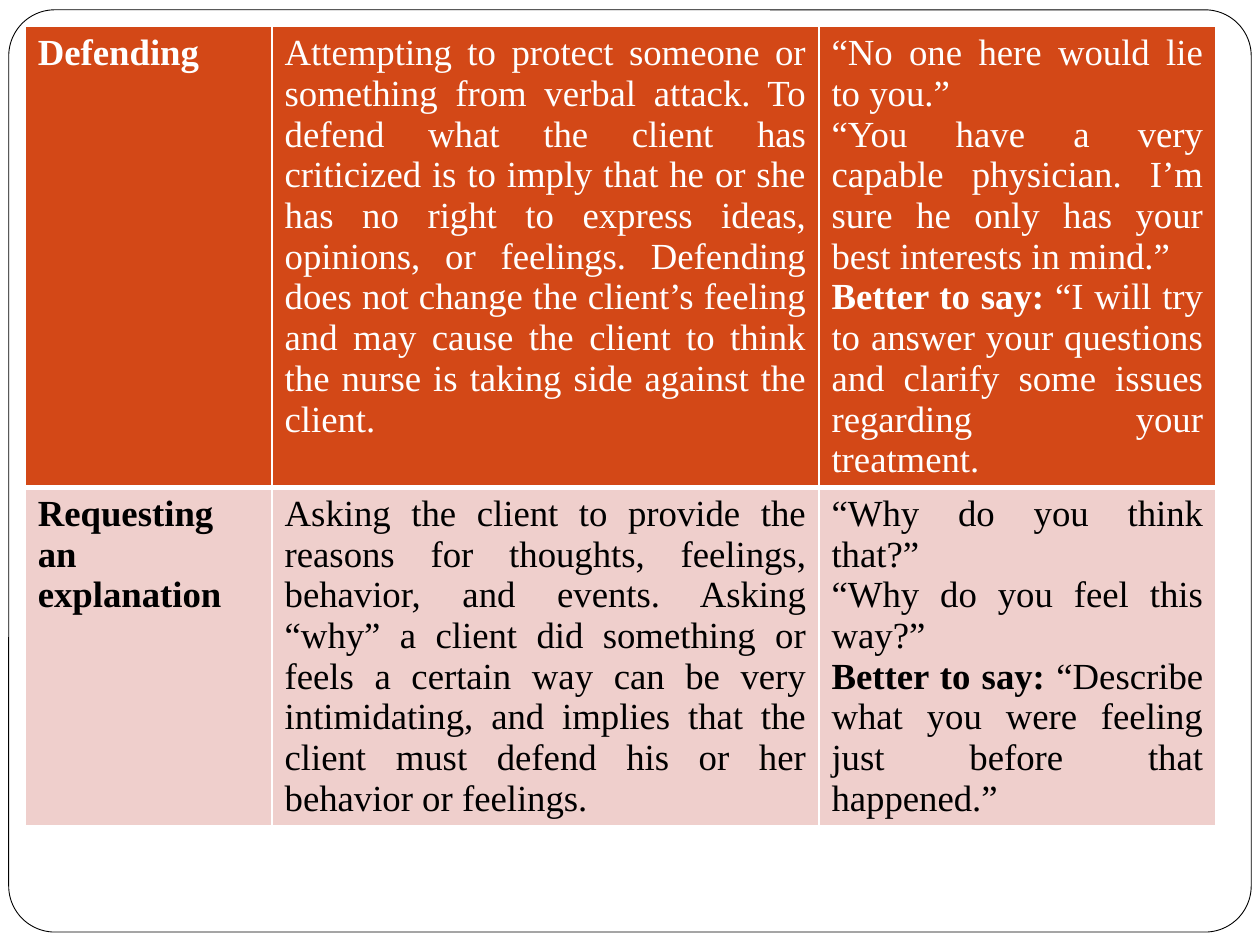
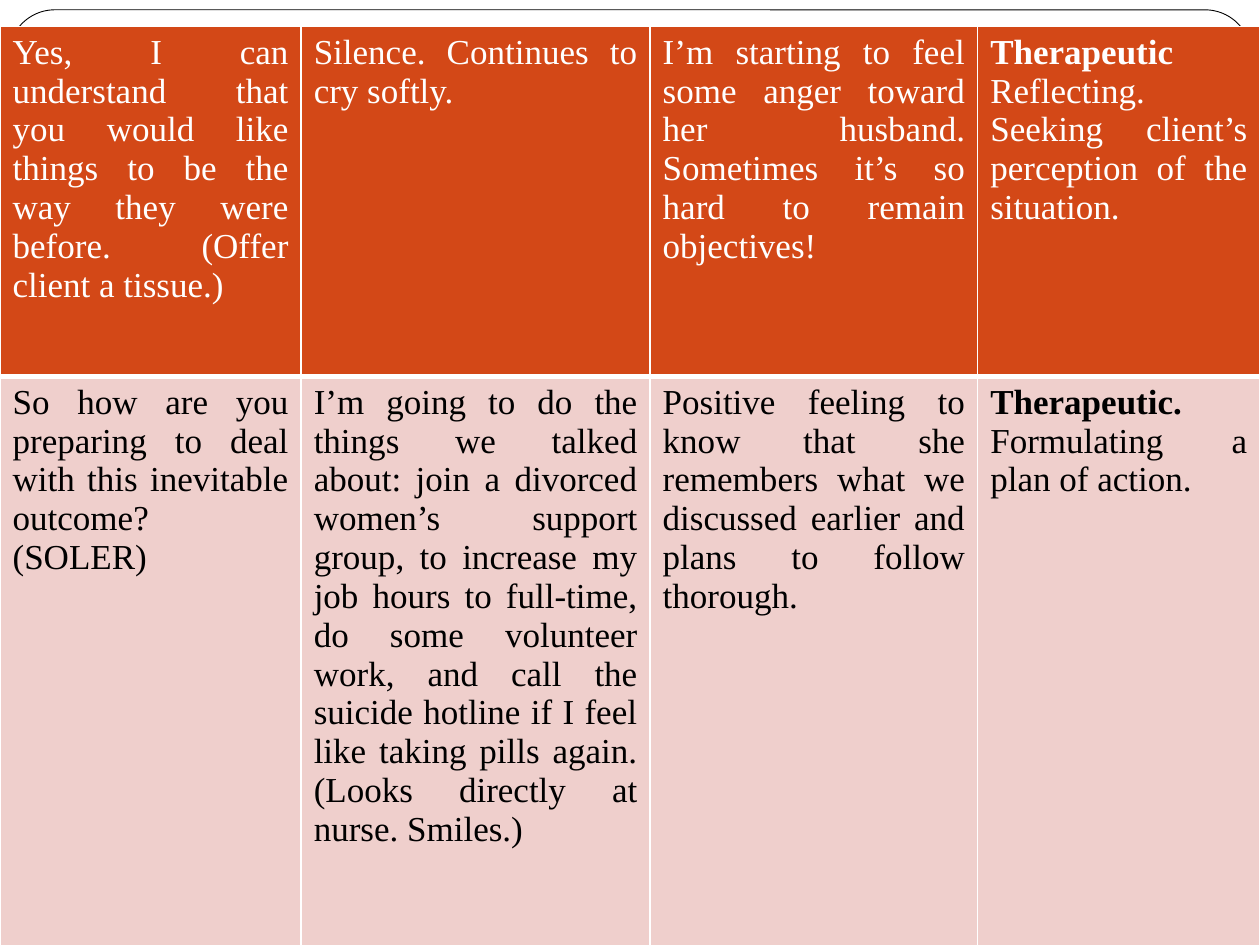
from pptx import Presentation
from pptx.dml.color import RGBColor
from pptx.enum.shapes import MSO_SHAPE
from pptx.enum.text import PP_ALIGN
from pptx.oxml import parse_xml
from pptx.oxml.ns import nsdecls
from pptx.util import Pt

COLORS = {
    "white": "FFFFFF",
    "black": "000000",
    "header": "D34817",
    "body": "EFCFCC",
}
FONT = "Times New Roman"
ROW_STYLES = [("header", "white"), ("body", "black")]


def color(name):
    return RGBColor.from_string(COLORS[name])


def add_border(cell, side, width):
    cell._tc.get_or_add_tcPr().append(parse_xml(
        f'<a:{side} {nsdecls("a")} w="{Pt(width)}"><a:solidFill>'
        f'<a:srgbClr val="{COLORS["white"]}"/></a:solidFill></a:{side}>'
    ))


technique_rows = [
    [
        [[("Defending ", True)]],
        [[("Attempting to protect someone or something from verbal attack. "
           "To defend what the client has criticized is to imply that he or she "
           "has no right to express ideas, opinions, or feelings. Defending does "
           "not change the client’s feeling and may cause the client to think "
           "the nurse is taking side against the client.", False)]],
        [
            [("“No one here would lie to you.”", False)],
            [("“You have a very capable physician. I’m sure he only has your "
              "best interests in mind.”", False)],
            [("Better to say: ", True),
             ("“I will try to answer your questions and clarify some issues "
              "regarding your treatment.", False)],
        ],
    ],
    [
        [[("Requesting an explanation", True)]],
        [[("Asking the client to provide the reasons for thoughts, feelings, "
           "behavior, and events. Asking “why” a client did something or feels "
           "a certain way can be very intimidating, and implies that the client "
           "must defend his or her behavior or feelings.", False)]],
        [
            [("“Why do you think that?”", False)],
            [("“Why do you feel this way?”", False)],
            [("Better to say: ", True),
             ("“Describe what you were feeling just before that happened.”", False)],
        ],
    ],
]

conversation_rows = [
    [
        [[("Yes, I can understand that you would like things to be the way they "
           "were before. (Offer client a tissue.)", False)]],
        [[("Silence. Continues to cry softly.", False)]],
        [[("I’m starting to feel some anger toward her husband. Sometimes it’s "
           "so hard to remain objectives!", False)]],
        [
            [("Therapeutic ", True)],
            [("Reflecting. Seeking client’s perception of the situation.", False)],
        ],
    ],
    [
        [
            [("So how are you preparing to deal with this inevitable outcome?", False)],
            [("(SOLER)", False)],
        ],
        [[("I’m going to do the things we talked about: join a divorced women’s "
           "support group, to increase my job hours to full-time, do some "
           "volunteer work, and call the suicide hotline if I feel like taking "
           "pills again. (Looks directly at nurse. Smiles.)", False)]],
        [[("Positive feeling to know that she remembers what we discussed earlier "
           "and plans to follow thorough.", False)]],
        [
            [("Therapeutic.", True)],
            [("Formulating a plan of action.", False)],
        ],
    ],
]

pages = [
    {"left": 14.4, "size": 21, "columns": [141.1, 312.5, 226.8],
     "heights": [260.6, 192], "rows": technique_rows},
    {"left": 0, "size": 20, "columns": [172.1, 199.4, 187.2, 161.3],
     "heights": [200, 325], "rows": conversation_rows},
]

deck = Presentation()
deck.slide_width = Pt(720)
deck.slide_height = Pt(540)

for content in pages:
    page = deck.slides.add_slide(deck.slide_layouts[6])

    frame = page.shapes.add_shape(
        MSO_SHAPE.ROUNDED_RECTANGLE, Pt(5), Pt(5.6), Pt(710), Pt(527))
    frame.adjustments[0] = 0.05
    frame.shadow.inherit = False
    frame.fill.solid()
    frame.fill.fore_color.rgb = color("white")
    frame.line.color.rgb = color("black")
    frame.line.width = Pt(0.5)

    widths, heights, rows = content["columns"], content["heights"], content["rows"]
    table = page.shapes.add_table(
        len(rows), len(widths), Pt(content["left"]), Pt(15.2),
        Pt(sum(widths)), Pt(sum(heights))).table
    for column, width in zip(table.columns, widths):
        column.width = Pt(width)
    for row, height in zip(table.rows, heights):
        row.height = Pt(height)

    for row_index, (fill, ink) in enumerate(ROW_STYLES):
        top, bottom = (1, 3) if row_index == 0 else (3, 1)
        for column_index, paragraphs in enumerate(rows[row_index]):
            cell = table.cell(row_index, column_index)
            for side, width in [("lnL", 1), ("lnR", 1), ("lnT", top), ("lnB", bottom)]:
                add_border(cell, side, width)
            cell.fill.solid()
            cell.fill.fore_color.rgb = color(fill)

            box = cell.text_frame
            for index, spans in enumerate(paragraphs):
                para = box.add_paragraph() if index else box.paragraphs[0]
                para.alignment = PP_ALIGN.JUSTIFY
                for text, bold in spans:
                    span = para.add_run()
                    span.text = text
                    span.font.name = FONT
                    span.font.size = Pt(content["size"])
                    span.font.bold = bold
                    span.font.color.rgb = color(ink)

deck.save("out.pptx")
